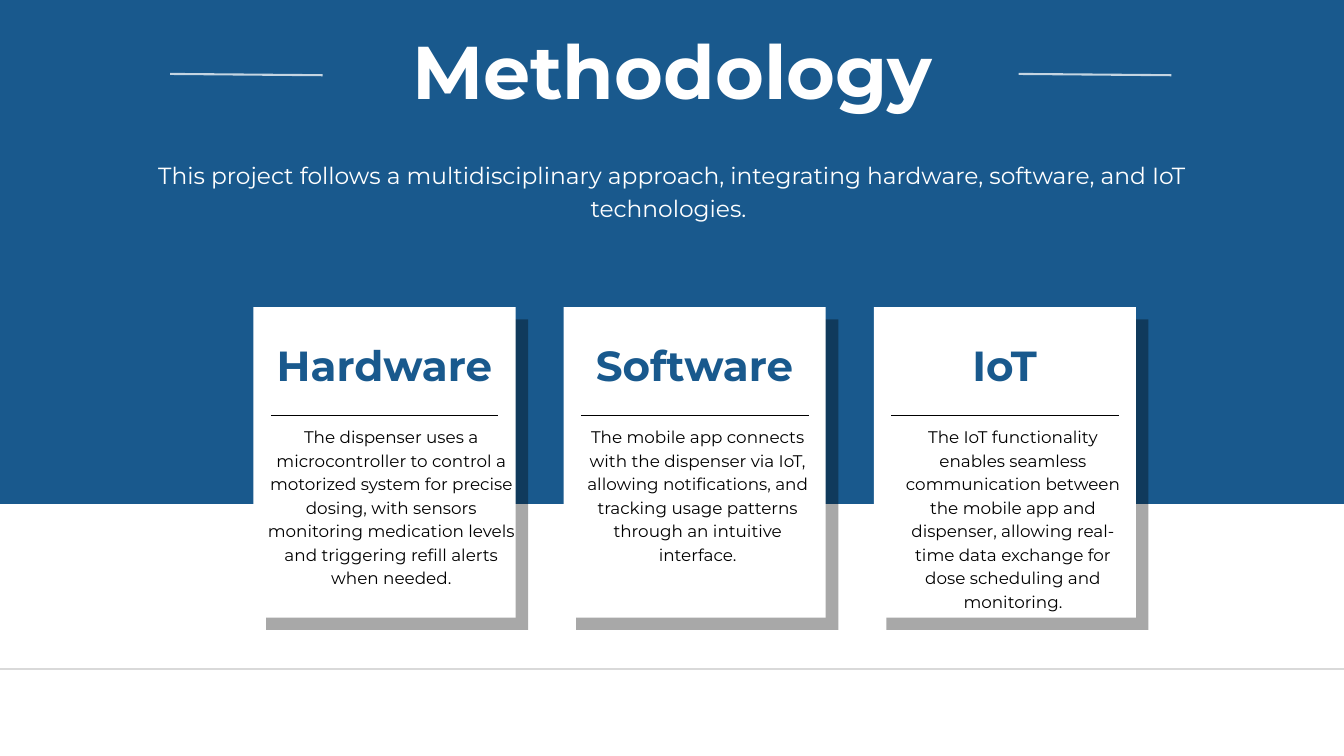
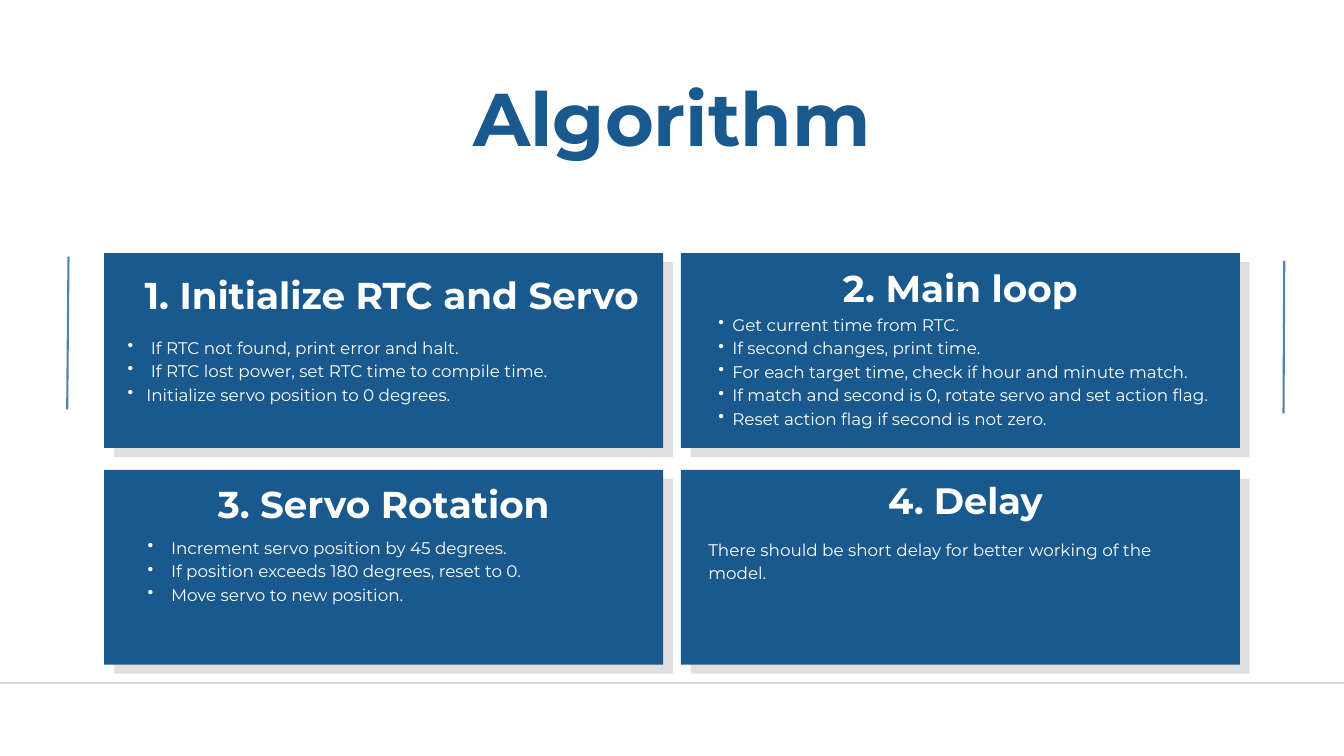
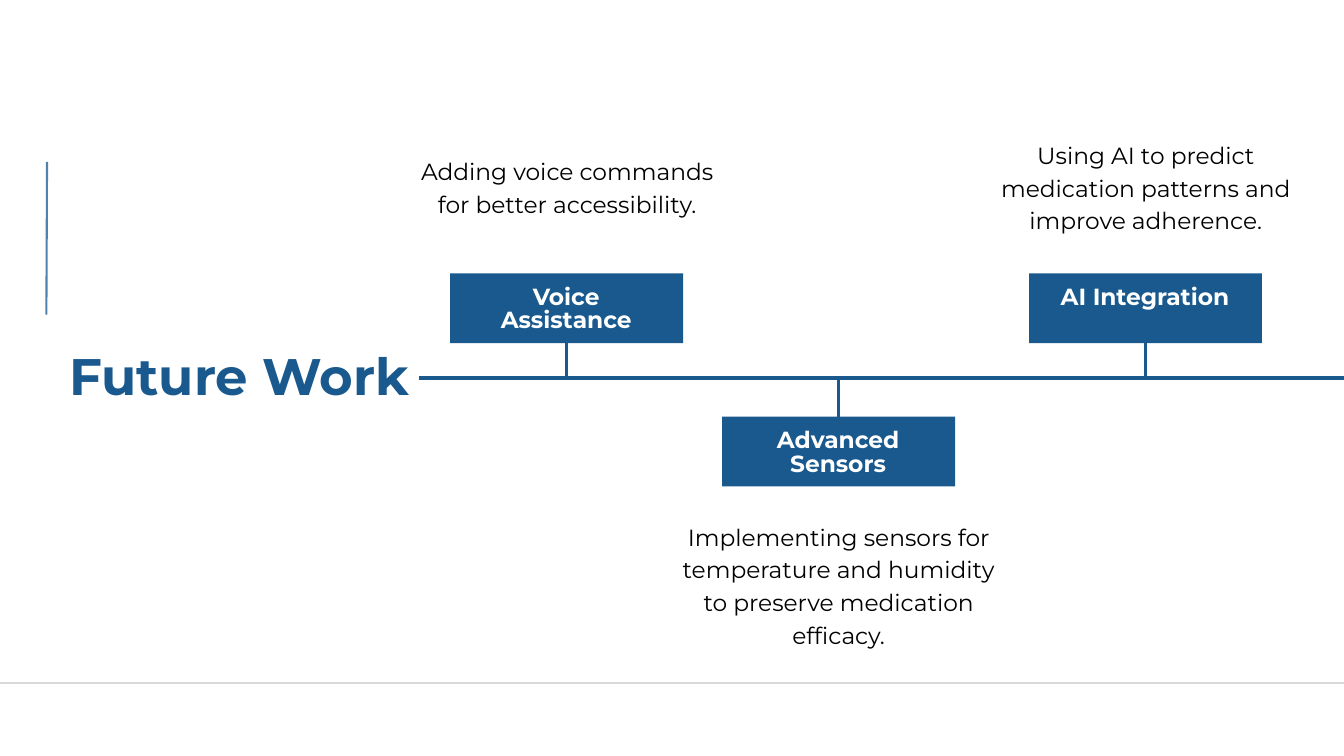
from dataclasses import dataclass, replace
from typing import NamedTuple

import pptx
import pptx.dml.color
import pptx.enum.shapes
import pptx.enum.text
import pptx.oxml.ns
import pptx.util
from lxml import etree
from pptx.shapes.autoshape import Shape
from pptx.shapes.connector import Connector
from pptx.slide import Slide
from pptx.text.text import TextFrame

BLUE = "19598D"
WHITE = "FFFFFF"
BLACK = "000000"
GREY = "D9D9D9"
FONT = "Montserrat"
SLIDE_WIDTH, SLIDE_HEIGHT = 1440, 810
CENTER = pptx.enum.text.PP_ALIGN.CENTER
LEFT = pptx.enum.text.PP_ALIGN.LEFT
TOP_SIDE, BOTTOM_SIDE = 0, 2


class Box(NamedTuple):
    left: float
    top: float
    width: float
    height: float

    def moved(self, right: float, down: float) -> "Box":
        return self._replace(left=self.left + right, top=self.top + down)


class Line(NamedTuple):
    start_x: float
    start_y: float
    end_x: float
    end_y: float


@dataclass(frozen=True)
class TextStyle:
    size: float
    leading: float
    color: str
    bold: bool = False
    alignment: pptx.enum.text.PP_ALIGN = CENTER


@dataclass(frozen=True)
class Bullet:
    text: str
    gap: float = 15


@dataclass(frozen=True)
class TopicCard:
    heading: str
    body: str
    body_inset: float
    body_width: float


@dataclass(frozen=True)
class StepCard:
    column: int
    row: int
    heading: str
    heading_box: Box
    heading_style: TextStyle
    body: list[Bullet] | str
    body_box: Box


@dataclass(frozen=True)
class Milestone:
    label: str
    box: Box
    detail: str
    detail_box: Box
    above: bool


TITLE = TextStyle(80, 80, WHITE, True)
BLUE_TITLE = replace(TITLE, color=BLUE)
SIDE_TITLE = TextStyle(55, 55, BLUE, True)
LEAD = TextStyle(25, 35, WHITE)
DETAIL = replace(LEAD, color=BLACK)
TOPIC_HEADING = TextStyle(45, 63, BLUE, True)
TOPIC_BODY = TextStyle(18, 25.2, BLACK)
STEP_HEADING = TextStyle(40, 56, WHITE, True)
STEP_BODY = TextStyle(18, 25.2, WHITE, alignment=LEFT)
MILESTONE_LABEL = TextStyle(25, 25, WHITE, True)

TOPIC_CARDS = [
    TopicCard("Hardware", "The dispenser uses a microcontroller to control a motorized system for precise "
              "dosing, with sensors monitoring medication levels and triggering refill alerts when needed.",
              13.7, 267.8),
    TopicCard("Software", "The mobile app connects with the dispenser via IoT, allowing notifications, and "
              "tracking usage patterns through an intuitive interface.", 25.2, 236.9),
    TopicCard("IoT", "The IoT functionality enables seamless communication between the mobile app and "
              "dispenser, allowing real-time data exchange for dose scheduling and monitoring.",
              27.4, 243.4),
]

STEP_CARDS = [
    StepCard(0, 0, "1. Initialize RTC and Servo", Box(147.6, 283.7, 544.3, 52.6), STEP_HEADING, [
        Bullet("If RTC not found, print error and halt.", 25),
        Bullet("If RTC lost power, set RTC time to compile time.", 25),
        Bullet("Initialize servo position to 0 degrees.", 20),
    ], Box(121.7, 357.8, 582.5, 98.6)),
    StepCard(1, 0, "2. Main loop", Box(784, 275.8, 489.6, 52.6), STEP_HEADING, [
        Bullet("Get current time from RTC."),
        Bullet("If second changes, print time."),
        Bullet("For each target time, check if hour and minute match."),
        Bullet("If match and second is 0, rotate servo and set action flag."),
        Bullet("Reset action flag if second is not zero."),
    ], Box(754.6, 333.4, 569.5, 147.6)),
    StepCard(0, 1, "3. Servo Rotation", Box(166.3, 507.6, 489.6, 52.6), STEP_HEADING, [
        Bullet("Increment servo position by 45 degrees.", 25),
        Bullet("If position exceeds 180 degrees, reset to 0.", 25),
        Bullet("Move servo to new position.", 25),
    ], Box(143.3, 572.4, 535.7, 98.6)),
    StepCard(1, 1, "4. Delay", Box(740.2, 504, 588.2, 52.6), replace(STEP_HEADING, size=39.3, leading=55),
             "There should be short delay for better working of the model.",
             Box(758.9, 574.6, 539.3, 49)),
]

MILESTONE_SIZE = (249.6, 74.8)
MILESTONES = [
    Milestone("Voice Assistance", Box(482.4, 293, *MILESTONE_SIZE),
              "Adding voice commands for better accessibility.", Box(437, 163.4, 341.3, 101.5), True),
    Milestone("Advanced Sensors", Box(773.7, 446.4, *MILESTONE_SIZE),
              "Implementing sensors for temperature and humidity to preserve medication efficacy.",
              Box(727.9, 555.1, 341.3, 136), False),
    Milestone("AI Integration", Box(1102.5, 293, *MILESTONE_SIZE),
              "Using AI to predict medication patterns and improve adherence.",
              Box(1057, 146.2, 341.3, 136), True),
]


def points(*values: float) -> list[pptx.util.Length]:
    return [pptx.util.Pt(value) for value in values]


def rgb(color: str) -> pptx.dml.color.RGBColor:
    return pptx.dml.color.RGBColor.from_string(color)


def set_attributes(target: object, values: dict) -> None:
    for name, value in values.items():
        setattr(target, name, value)


def set_opacity(shape: Shape | Connector, percent: int) -> None:
    """Add an alpha value to the only solid colour of a shape or connector."""
    color = shape._element.spPr.find(".//" + pptx.oxml.ns.qn("a:srgbClr"))
    etree.SubElement(color, pptx.oxml.ns.qn("a:alpha")).set("val", str(percent * 1000))


def add_rectangle(slide: Slide, box: Box, color: str, opacity: int = 100) -> Shape:
    shape = slide.shapes.add_shape(pptx.enum.shapes.MSO_SHAPE.RECTANGLE, *points(*box))
    shape.shadow.inherit = False
    shape.line.fill.background()
    shape.fill.solid()
    shape.fill.fore_color.rgb = rgb(color)
    if opacity < 100:
        set_opacity(shape, opacity)
    return shape


def add_line(slide: Slide, line: Line, color: str, width: float, opacity: int = 100) -> Connector:
    connector = slide.shapes.add_connector(pptx.enum.shapes.MSO_CONNECTOR.STRAIGHT, *points(*line))
    connector.line.width = pptx.util.Pt(width)
    connector.line.color.rgb = rgb(color)
    if opacity < 100:
        set_opacity(connector, opacity)
    etree.SubElement(connector._element.spPr, pptx.oxml.ns.qn("a:effectLst"))
    return connector


def write_paragraph(frame: TextFrame, index: int, text: str, style: TextStyle) -> None:
    paragraph = frame.add_paragraph() if index else frame.paragraphs[0]
    set_attributes(paragraph, {
        "alignment": style.alignment,
        "line_spacing": pptx.util.Pt(style.leading),
    })
    run = paragraph.add_run()
    run.text = text
    set_attributes(run.font, {"name": FONT, "size": pptx.util.Pt(style.size), "bold": style.bold})
    run.font.color.rgb = rgb(style.color)


def add_bullet_mark(frame: TextFrame, index: int, gap: float) -> None:
    """Hang the text of one paragraph by the gap after its bullet."""
    properties = frame.paragraphs[index]._p.get_or_add_pPr()
    properties.set("marL", str(int(pptx.util.Pt(15 + gap))))
    properties.set("indent", str(int(pptx.util.Pt(-gap))))
    etree.SubElement(properties, pptx.oxml.ns.qn("a:buChar")).set("char", "•")


def add_text(slide: Slide, box: Box, content: str | list[Bullet], style: TextStyle) -> None:
    frame = slide.shapes.add_textbox(*points(*box)).text_frame
    margins = dict.fromkeys(("margin_left", "margin_top", "margin_right", "margin_bottom"), 0)
    set_attributes(frame, {
        "word_wrap": True,
        "auto_size": pptx.enum.text.MSO_AUTO_SIZE.SHAPE_TO_FIT_TEXT,
        **margins,
    })
    if isinstance(content, str):
        write_paragraph(frame, 0, content, style)
        return
    for index, bullet in enumerate(content):
        write_paragraph(frame, index, bullet.text, style)
        add_bullet_mark(frame, index, bullet.gap)


def add_accent(slide: Slide, line: Line, color: str) -> None:
    add_line(slide, line, color, 2.25, 75)


def add_footer_rule(slide: Slide, top: float = 731.5) -> None:
    add_line(slide, Line(0, top, SLIDE_WIDTH, top), GREY, 2.25)


def add_shadowed_card(slide: Slide, box: Box, color: str, offset: tuple[float, float], opacity: int) -> None:
    add_rectangle(slide, box.moved(*offset), BLACK, opacity)
    add_rectangle(slide, box, color)


def build_methodology(slide: Slide) -> None:
    add_rectangle(slide, Box(0, 0, SLIDE_WIDTH, 540), BLUE)
    add_accent(slide, Line(1091.5, 79.2, 1255, 80.6), WHITE)
    add_accent(slide, Line(345.6, 80.6, 182.2, 79.2), WHITE)
    add_footer_rule(slide, 716.4)
    add_text(slide, Box(404, 42.5, 633, 83.5), "Methodology", TITLE)
    add_text(slide, Box(118, 167.8, 1203, 67), "This project follows a multidisciplinary approach, "
             "integrating hardware, software, and IoT technologies. ", LEAD)
    for column, card in enumerate(TOPIC_CARDS):
        box = Box(271.6 + column * 332.3, 329, 280.8, 332.8)
        add_shadowed_card(slide, box, WHITE, (13.5, 13.2), 34)
        inner = box.left + 18.5
        add_line(slide, Line(inner, 445, inner + 244, 445), BLACK, 1.5)
        add_text(slide, Box(inner, 355, 243.5, 59), card.heading, TOPIC_HEADING)
        add_text(slide, Box(box.left + card.body_inset, 453.6, card.body_width, 175),
                 card.body, TOPIC_BODY)


def build_algorithm(slide: Slide) -> None:
    add_footer_rule(slide)
    add_accent(slide, Line(1375.2, 442.8, 1376, 279.4), BLUE)
    add_accent(slide, Line(72, 438.5, 73.4, 275), BLUE)
    add_text(slide, Box(214.6, 92.9, 1010.9, 83.5), "Algorithm", BLUE_TITLE)
    for card in STEP_CARDS:
        box = Box(111.5 + card.column * 618, 271.2 + card.row * 232.2, 599, 208.8)
        add_shadowed_card(slide, box, BLUE, (10.4, 9.7), 12)
        add_text(slide, card.heading_box, card.heading, card.heading_style)
        add_text(slide, card.body_box, card.body, STEP_BODY)


def build_future_work(slide: Slide) -> None:
    axis = 404.8
    add_footer_rule(slide)
    add_accent(slide, Line(49.7, 337, 50.4, 173.5), BLUE)
    add_line(slide, Line(449.3, axis, SLIDE_WIDTH, axis), BLUE, 3.75)
    add_text(slide, Box(41.8, 380.2, 429, 57.6), "Future Work", SIDE_TITLE)
    for milestone in MILESTONES:
        box = milestone.box
        shape = add_rectangle(slide, box, BLUE)
        middle = box.left + box.width / 2
        edge = box.top + box.height if milestone.above else box.top
        stem = add_line(slide, Line(middle, edge, middle, axis), BLUE, 3.75)
        stem.begin_connect(shape, BOTTOM_SIDE if milestone.above else TOP_SIDE)
        add_text(slide, Box(box.left + 33.5, box.top + 14.4, 181.5, 49.7), milestone.label, MILESTONE_LABEL)
        add_text(slide, milestone.detail_box, milestone.detail, DETAIL)


def main() -> None:
    presentation = pptx.Presentation()
    set_attributes(presentation, {
        "slide_width": pptx.util.Pt(SLIDE_WIDTH),
        "slide_height": pptx.util.Pt(SLIDE_HEIGHT),
    })
    blank_layout = presentation.slide_layouts[6]
    for build in (build_methodology, build_algorithm, build_future_work):
        build(presentation.slides.add_slide(blank_layout))
    presentation.save("out.pptx")


if __name__ == "__main__":
    main()
